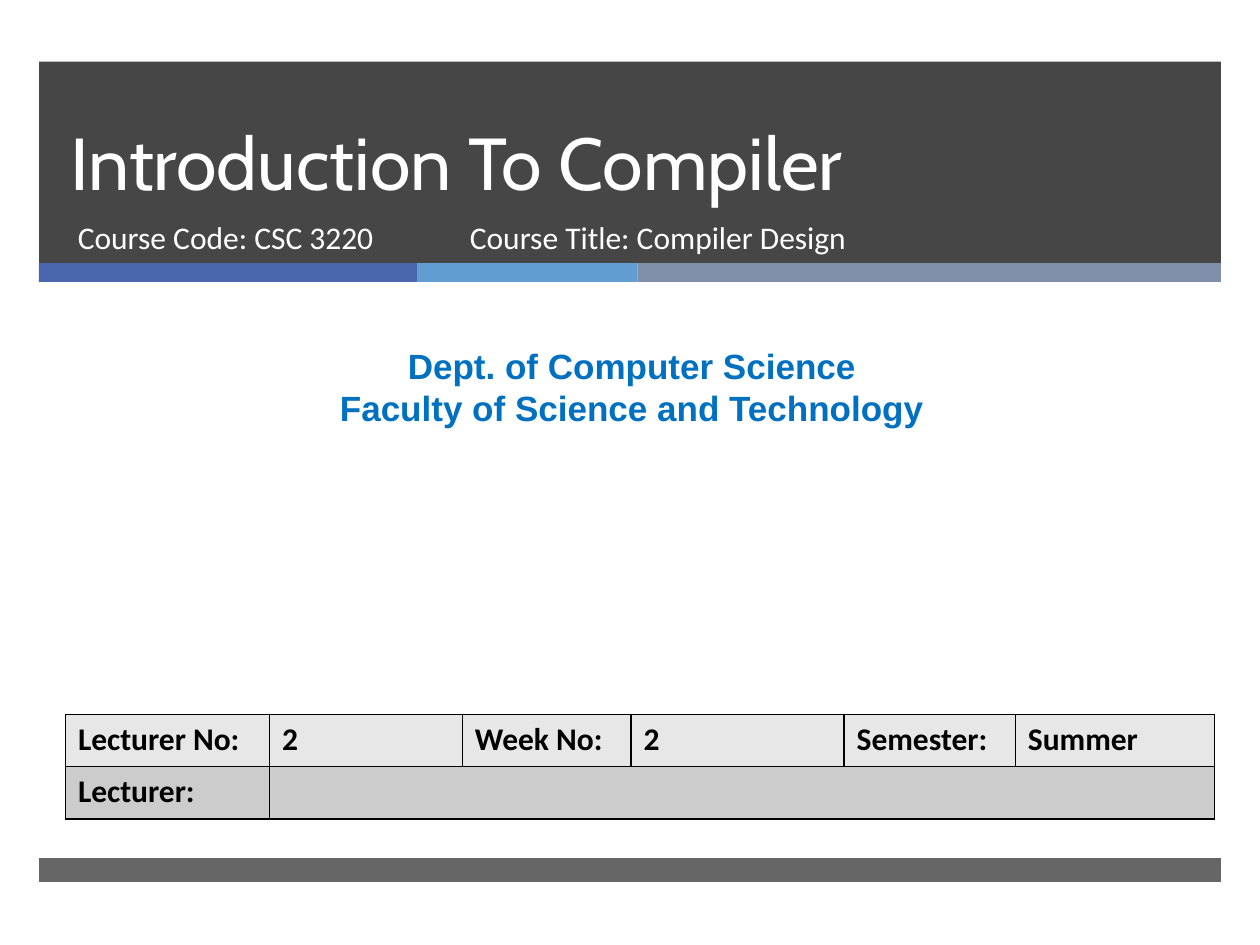
from lxml.etree import SubElement
from pptx import Presentation
from pptx.dml.color import RGBColor
from pptx.enum.shapes import MSO_SHAPE as Shape
from pptx.enum.text import MSO_ANCHOR as Anchor, MSO_AUTO_SIZE as AutoSize, PP_ALIGN as Align
from pptx.oxml.ns import qn
from pptx.util import Pt

CHARCOAL = RGBColor(0x26, 0x26, 0x26)
INDIGO = RGBColor(0x4A, 0x66, 0xAC)
SKY = RGBColor(0x62, 0x9D, 0xD1)
SLATE = RGBColor(0x7F, 0x8F, 0xA9)
WHITE = RGBColor(0xFF, 0xFF, 0xFF)
BLACK = RGBColor(0x00, 0x00, 0x00)
BLUE = RGBColor(0x00, 0x70, 0xC0)
LIGHT_GREY = RGBColor(0xE7, 0xE7, 0xE7)
MID_GREY = RGBColor(0xCC, 0xCC, 0xCC)

BAND_LEFT, BAND_WIDTH = 22.3, 675.4


def add_bar(slide, left, top, width, height, color, opacity=100):
    bar = slide.shapes.add_shape(Shape.RECTANGLE, Pt(left), Pt(top), Pt(width), Pt(height))
    bar.shadow.inherit = False
    bar.line.fill.background()
    bar.fill.solid()
    bar.fill.fore_color.rgb = color
    if opacity < 100:
        color_element = bar.fill._xPr.find(qn("a:solidFill"))[0]
        SubElement(color_element, qn("a:alpha"), val=str(opacity * 1000))


def add_run(paragraph, text, font, size, color, bold=False):
    run = paragraph.add_run()
    run.text = text
    run.font.name = font
    run.font.size = Pt(size)
    run.font.bold = bold
    run.font.color.rgb = color


def set_title(slide, text):
    title = slide.shapes.title
    title.left, title.top, title.width, title.height = Pt(33.1), Pt(35.3), Pt(615), Pt(85.7)
    frame = title.text_frame
    frame.auto_size = AutoSize.NONE
    frame.vertical_anchor = Anchor.BOTTOM
    paragraph = frame.paragraphs[0]
    paragraph.alignment = Align.LEFT
    paragraph.line_spacing = Pt(46)
    add_run(paragraph, text, "Cabin", 42, WHITE)
    # Bring the title in front of the banner
    slide.shapes._spTree.append(title._element)


def add_text(slide, left, top, width, height, lines, font, size, color,
             bold=False, align=Align.LEFT):
    frame = slide.shapes.add_textbox(Pt(left), Pt(top), Pt(width), Pt(height)).text_frame
    frame.word_wrap = True
    for index, line in enumerate(lines):
        paragraph = frame.add_paragraph() if index else frame.paragraphs[0]
        paragraph.alignment = align
        add_run(paragraph, line, font, size, color, bold)


def format_cell(cell, text, fill):
    if text:
        add_run(cell.text_frame.paragraphs[0], text, "Calibri", 18, BLACK, True)
    properties = cell._tc.get_or_add_tcPr()
    for side in ("lnL", "lnR", "lnT", "lnB"):
        line = SubElement(properties, qn(f"a:{side}"), w=str(Pt(1)))
        SubElement(SubElement(line, qn("a:solidFill")), qn("a:srgbClr"), val=str(BLACK))
    cell.fill.solid()
    cell.fill.fore_color.rgb = fill


def add_lecture_table(slide):
    rows = [["Lecturer No:", "2", "Week No:", "2", "Semester:", "Summer"],
            ["Lecturer:", "", "", "", "", ""]]
    widths = [116.6, 110.2, 96.5, 121.7, 97.9, 113.8]
    row_height = 29.9
    table = slide.shapes.add_table(len(rows), len(widths), Pt(37.4), Pt(408.2),
                                   Pt(sum(widths)), Pt(row_height * len(rows))).table
    for column, width in zip(table.columns, widths):
        column.width = Pt(width)
    for r, (texts, fill) in enumerate(zip(rows, (LIGHT_GREY, MID_GREY))):
        table.rows[r].height = Pt(row_height)
        for c, text in enumerate(texts):
            format_cell(table.cell(r, c), text, fill)
    table.cell(1, 1).merge(table.cell(1, 5))


def main():
    presentation = Presentation()
    presentation.slide_width, presentation.slide_height = Pt(720), Pt(540)
    slide = presentation.slides.add_slide(presentation.slide_layouts[5])

    # Banner, three-colour stripe and footer bar
    add_bar(slide, BAND_LEFT, 35.2, BAND_WIDTH, 115.3, CHARCOAL, 85)
    left = BAND_LEFT
    for width, color in ((216, INDIGO), (126, SKY), (333.4, SLATE)):
        add_bar(slide, left, 150.3, width, 10.8, color)
        left += width
    add_bar(slide, BAND_LEFT, 490.3, BAND_WIDTH, 13.7, CHARCOAL, 70)

    # Title and course details
    set_title(slide, "Introduction To Compiler")
    add_text(slide, 37.4, 121, 219.6, 38.2, ["Course Code: CSC 3220"], "Calibri", 18, WHITE)
    add_text(slide, 261.4, 121.3, 327.6, 38.2, ["Course Title: Compiler Design"],
             "Calibri", 18, WHITE)

    # Department
    add_text(slide, 5.8, 193.3, 710.6, 55.4,
             ["Dept. of Computer Science", "Faculty of Science and Technology"],
             "Arial", 20, BLUE, True, Align.CENTER)

    # Lecture details
    add_lecture_table(slide)
    presentation.save("out.pptx")


if __name__ == "__main__":
    main()
